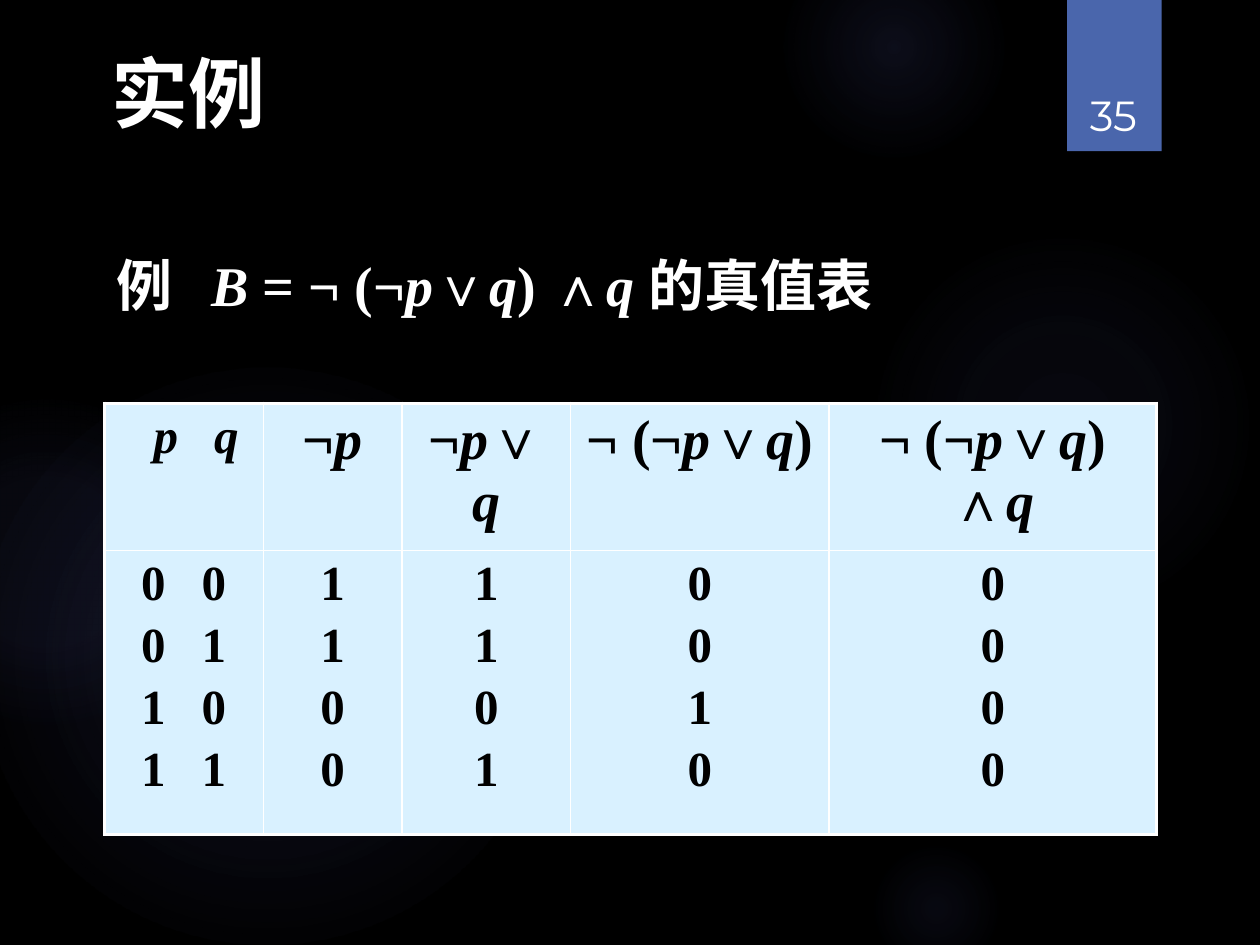
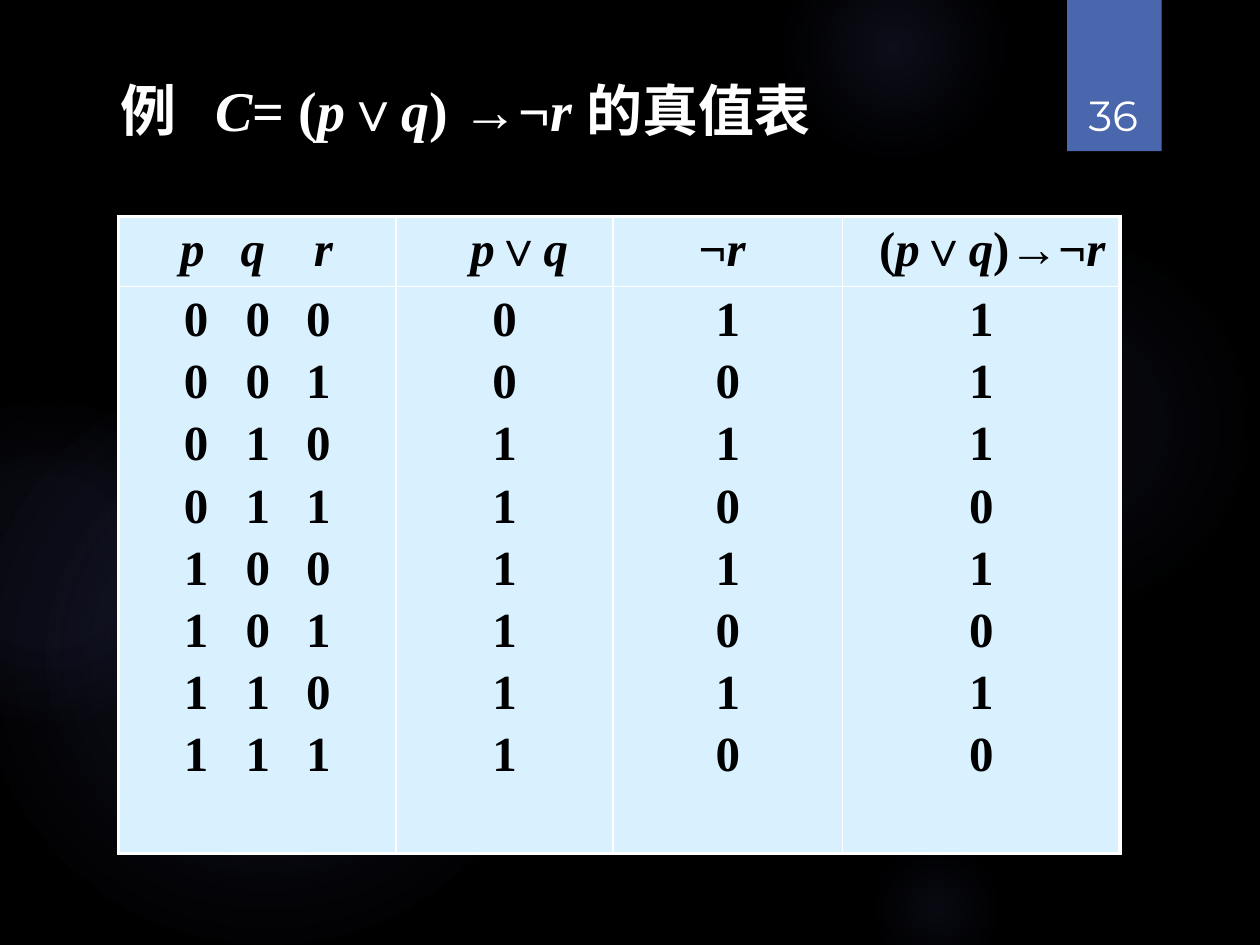
from itertools import groupby, product

from lxml import etree
from pptx import Presentation
from pptx.dml.color import RGBColor
from pptx.enum.shapes import MSO_SHAPE
from pptx.enum.text import MSO_ANCHOR, MSO_AUTO_SIZE, PP_ALIGN
from pptx.oxml.ns import qn
from pptx.util import Inches, Pt

LEFT, CENTER = PP_ALIGN.LEFT, PP_ALIGN.CENTER
TOP, BOTTOM = MSO_ANCHOR.TOP, MSO_ANCHOR.BOTTOM
OVAL, RECTANGLE = MSO_SHAPE.OVAL, MSO_SHAPE.RECTANGLE

WIDTH, HEIGHT = Inches(10), Inches(7.5)
COLORS = {"back": "000000", "glow": "5C64B7", "band": "4A66AC",
          "light": "FFFFFF", "ink": "000000", "cell": "D9F1FF"}
SERIF, HEADING, CJK, NUMBER = ("Times New Roman", "TeX Gyre Adventor",
                               "Noto Sans CJK SC", "Montserrat")
FORMULA_TAB = 0.75

# left, top, diameter in percent of the slide; (position, opacity) stops
GLOWS = [
    (68.9, 24.4, 30.8, [(0, 7), (36, 6), (69, 0)]),
    (62.2, -6.67, 17.5, [(0, 14), (36, 7), (73, 0)]),
    (68.9, 88.93, 10.8, [(0, 9), (36, 5), (66, 0)]),
    (-1.7, 38.93, 45.8, [(0, 11), (36, 10), (75, 0)]),
    (-9.2, 42.27, 25.8, [(0, 8), (36, 8), (72, 0)]),
]


def rgb(name):
    return RGBColor.from_string(COLORS[name])


def box(left, top, width, height):
    """Turn percentages of the slide into lengths."""
    return (int(WIDTH * left / 100), int(HEIGHT * top / 100),
            int(WIDTH * width / 100), int(HEIGHT * height / 100))


def add_node(parent, tag, **attributes):
    node = etree.SubElement(parent, qn(tag))
    for key, value in attributes.items():
        node.set(key, str(value))
    return node


def is_variable(char):
    return char.isascii() and char.isalpha()


def write(frame, *lines, size, color="light", font=SERIF, bold=True,
          align=LEFT, anchor=TOP, wrap=True, before=0, indent=0, tabs=()):
    """Write one paragraph per line, with variable letters in italics."""
    frame.word_wrap = wrap
    frame.vertical_anchor = anchor
    for number, line in enumerate(lines):
        paragraph = frame.add_paragraph() if number else frame.paragraphs[0]
        paragraph.alignment = align
        paragraph.space_before = Pt(before)
        properties = paragraph._p.get_or_add_pPr()
        if indent:
            properties.set("marL", str(Inches(indent)))
        if tabs:
            stops = add_node(properties, "a:tabLst")
            for stop in tabs:
                add_node(stops, "a:tab", pos=Inches(stop), algn="l")
        for italic, chars in groupby(line, is_variable):
            run = paragraph.add_run()
            run.text = "".join(chars)
            run.font.size, run.font.name = Pt(size), font
            run.font.bold, run.font.italic = bold, italic
            run.font.color.rgb = rgb(color)
            add_node(run._r.get_or_add_rPr(), "a:ea", typeface=CJK)


def add_plain_shape(slide, kind, bounds):
    shape = slide.shapes.add_shape(kind, *bounds)
    shape.shadow.inherit = False
    shape.line.fill.background()
    return shape


def add_glow(slide, left, top, diameter, stops):
    x, y, size, _ = box(left, top, diameter, 0)
    glow = add_plain_shape(slide, OVAL, (x, y, size, size))
    gradient = etree.Element(qn("a:gradFill"))
    stop_list = add_node(gradient, "a:gsLst")
    for position, opacity in stops:
        stop = add_node(stop_list, "a:gs", pos=position * 1000)
        tint = add_node(stop, "a:srgbClr", val=COLORS["glow"])
        add_node(tint, "a:alpha", val=opacity * 1000)
    circle = add_node(gradient, "a:path", path="circle")
    add_node(circle, "a:fillToRect", l=50000, t=50000, r=50000, b=50000)
    glow.element.spPr.find(qn("a:prstGeom")).addnext(gradient)


def add_page(deck, number):
    """Add a slide with the glows, the number band and the title on top."""
    slide = deck.slides.add_slide(deck.slide_layouts[5])
    slide.background.fill.solid()
    slide.background.fill.fore_color.rgb = rgb("back")
    for glow in GLOWS:
        add_glow(slide, *glow)
    band = add_plain_shape(slide, RECTANGLE, box(84.7, 0, 7.5, 16))
    band.fill.solid()
    band.fill.fore_color.rgb = rgb("band")
    page_number = slide.shapes.add_textbox(*box(84.9, 4.27, 6.9, 11.2))
    write(page_number.text_frame, str(number), size=24, font=NUMBER,
          bold=False, align=CENTER, anchor=BOTTOM)
    title = slide.shapes.title.element
    title.getparent().append(title)
    return slide


def set_title(slide, bounds, text, **style):
    title = slide.shapes.title
    title.left, title.top, title.width, title.height = bounds
    title.text_frame.auto_size = MSO_AUTO_SIZE.NONE
    write(title.text_frame, text, **style)


def format_cell(cell, row, column, last_row, last_column):
    """Fill the cell and draw its borders, thicker on the table's edge."""
    outer = {"a:lnL": column == 0, "a:lnR": column == last_column,
             "a:lnT": row == 0, "a:lnB": row == last_row}
    properties = cell._tc.get_or_add_tcPr()
    for side, is_edge in outer.items():
        line = add_node(properties, side, w=Pt(2.25 if is_edge else 1))
        add_node(add_node(line, "a:solidFill"), "a:srgbClr",
                 val=COLORS["light"])
    cell.fill.solid()
    cell.fill.fore_color.rgb = rgb("cell")


def add_truth_table(slide, bounds, shares, header_share, headers, results,
                    input_tabs):
    """headers: (text, format) pairs; results: one digit string per formula."""
    left, top, width, height = bounds
    table = slide.shapes.add_table(2, len(shares), *bounds).table
    table.horz_banding = False
    for column, share in zip(table.columns, shares):
        column.width = int(width * share / sum(shares))
    table.rows[0].height = int(height * header_share)
    table.rows[1].height = height - table.rows[0].height

    inputs = ["\t" + "\t".join(values)
              for values in product("01", repeat=len(input_tabs))]
    bodies = [(inputs, {"tabs": input_tabs})]
    bodies += [(digits, {"align": CENTER}) for digits in results]
    for column, ((heading, style), (lines, body_style)) in enumerate(
            zip(headers, bodies)):
        for row, (text, cell_style) in enumerate(
                [([heading], style), (lines, body_style)]):
            cell = table.cell(row, column)
            format_cell(cell, row, column, 1, len(shares) - 1)
            write(cell.text_frame, *text,
                  **{"size": 28, "color": "ink", "before": 4.5, **cell_style})


def build_example_b(deck):
    slide = add_page(deck, 35)
    set_title(slide, box(7.8, 4.13, 14.3, 11.07), "实例", size=44,
              font=HEADING, align=CENTER, wrap=False)
    formula = slide.shapes.add_textbox(*box(8.3, 25.87, 78, 8.4))
    write(formula.text_frame, "例\tB = ¬ (¬p∨q) ∧q 的真值表", size=32,
          tabs=[FORMULA_TAB])
    large = {"size": 32, "align": CENTER}
    add_truth_table(
        slide, box(8.3, 42.67, 83.5, 38.53), [1.26, 1.1, 1.34, 2.05, 2.6],
        0.22,
        [("\tp\tq", {"tabs": [0.29, 0.77]}), ("¬p", large), ("¬p∨q", large),
         ("¬ (¬p∨q)", large), ("¬ (¬p∨q) ∧q", large)],
        ["1100", "1101", "0010", "0000"], [0.19, 0.67])


def build_example_c(deck):
    slide = add_page(deck, 36)
    set_title(slide, box(8.6, 7.33, 75, 8.4), "例\tC= (p∨q) →¬r 的真值表",
              size=32, tabs=[FORMULA_TAB])
    add_truth_table(
        slide, box(9.4, 22.93, 79.5, 67.4), [2.2, 1.72, 1.82, 2.2], 0.11,
        [("\tp\tq\tr", {"tabs": [0.39, 0.87, 1.45]}),
         ("p∨q", {"indent": 0.49}), ("¬r", {"indent": 0.58}),
         ("(p∨q)→¬r", {"indent": 0.19})],
        ["00111111", "10101010", "11101010"], [0.42, 0.91, 1.39])


def main():
    deck = Presentation()
    deck.slide_width, deck.slide_height = WIDTH, HEIGHT
    build_example_b(deck)
    build_example_c(deck)
    deck.save("out.pptx")


if __name__ == "__main__":
    main()
